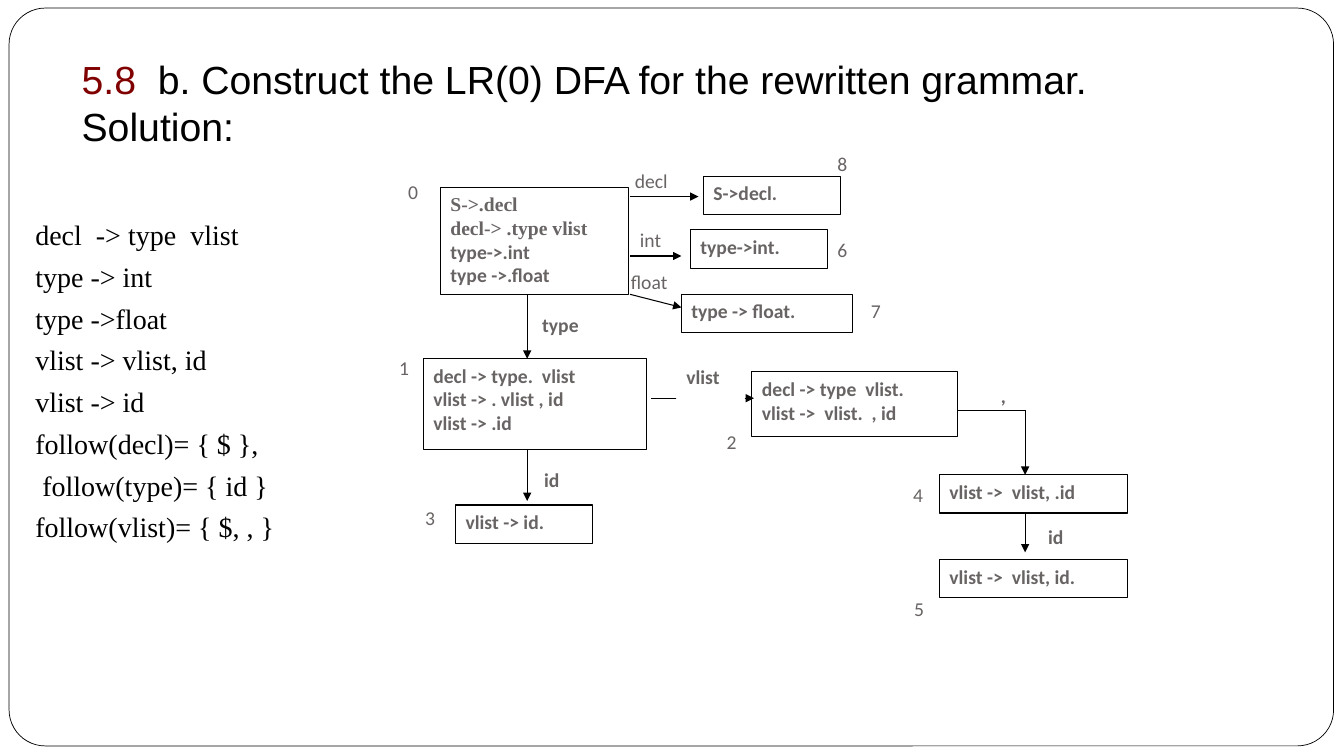
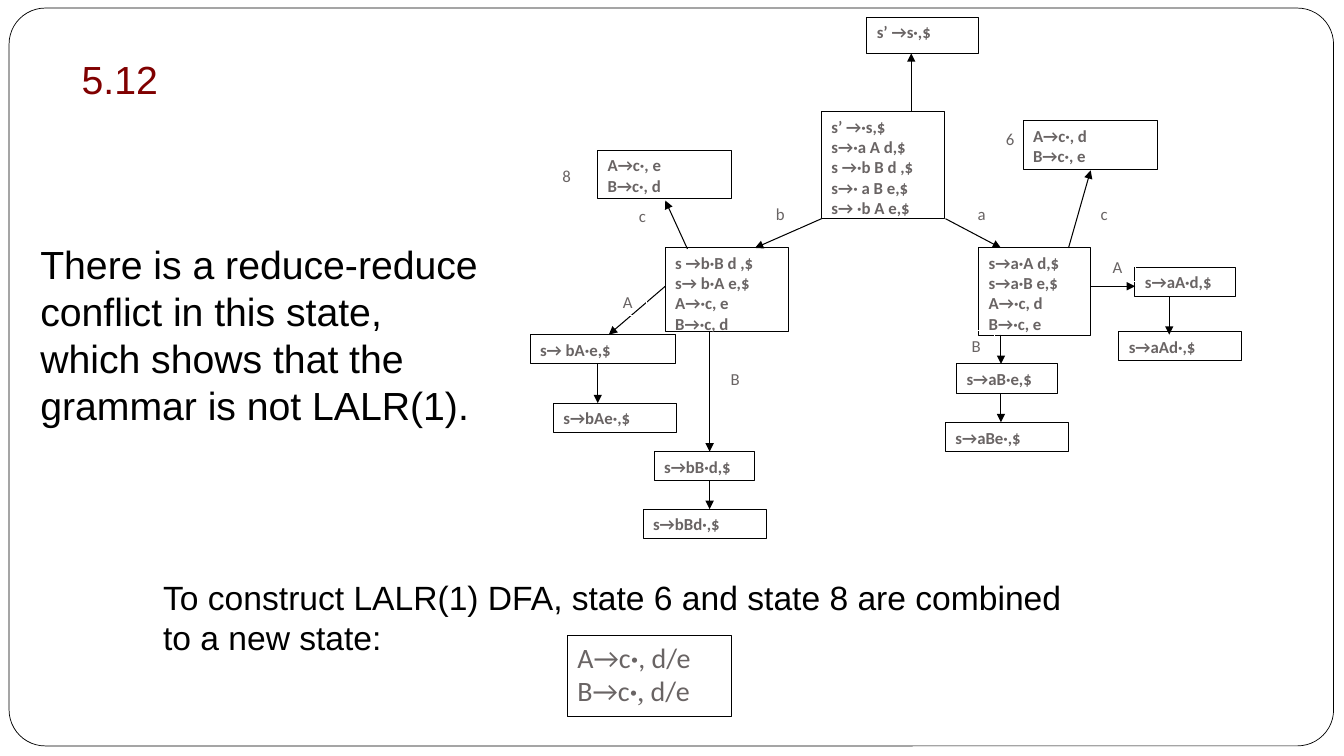
from dataclasses import dataclass
from typing import Optional, Sequence, Union

import lxml.etree
import pptx
import pptx.dml.color
import pptx.enum.shapes
import pptx.enum.text
import pptx.oxml.ns
import pptx.shapes.autoshape
import pptx.slide
import pptx.text.text
import pptx.util

COLORS = {"ink": "000000", "paper": "FFFFFF", "number": "800000", "state": "696464"}
CELL = pptx.util.Inches(0.1)
COLUMNS, ROWS = 133.33, 75
TITLE_SIZE = 28
ALIGN = pptx.enum.text.PP_ALIGN
ANCHOR = pptx.enum.text.MSO_ANCHOR
RECTANGLE = pptx.enum.shapes.MSO_SHAPE.RECTANGLE
ROUNDED = pptx.enum.shapes.MSO_SHAPE.ROUNDED_RECTANGLE
STRAIGHT = pptx.enum.shapes.MSO_CONNECTOR.STRAIGHT
qualified = pptx.oxml.ns.qn


@dataclass(frozen=True)
class Run:
    text: str
    font: Optional[str] = None
    bold: Optional[bool] = None
    color: Optional[str] = None


Line = Union[str, Run, tuple[Run, ...]]


@dataclass(frozen=True)
class Style:
    outline: Optional[str] = None
    fill: Optional[str] = None
    bold: bool = False
    size: Optional[int] = None
    font: str = "Calibri"
    color: str = "state"
    centered: bool = False
    align: ALIGN = ALIGN.LEFT


@dataclass(frozen=True)
class Box:
    style: str
    column: float
    row: float
    width: float
    height: float
    lines: Sequence[Line]


@dataclass(frozen=True)
class Arrow:
    start: tuple[float, float]
    end: tuple[float, float]
    pointed: bool = True


STYLES = {
    "state": Style(outline="ink", bold=True),
    "merged": Style(outline="ink", fill="paper", size=20, align=ALIGN.JUSTIFY),
    "token": Style(outline="paper", bold=True),
    "symbol": Style(outline="paper"),
    "number": Style(),
    "caption": Style(centered=True),
    "remark": Style(size=24, font="Arial", color="ink"),
}


def span(cells: float) -> pptx.util.Length:
    return pptx.util.Emu(round(cells * CELL))


def rgb(name: str) -> pptx.dml.color.RGBColor:
    return pptx.dml.color.RGBColor.from_string(COLORS[name])


def write(frame: pptx.text.text.TextFrame, lines: Sequence[Line], *, size: float,
          font: str = "Arial", color: str = "ink", bold: bool = False,
          align: ALIGN = ALIGN.LEFT, anchor: ANCHOR = ANCHOR.TOP,
          space_before: float = 0) -> None:
    frame.word_wrap = True
    frame.auto_size = pptx.enum.text.MSO_AUTO_SIZE.NONE
    frame.vertical_anchor = anchor
    for index, line in enumerate(lines):
        paragraph = frame.add_paragraph() if index else frame.paragraphs[0]
        paragraph.alignment = align
        paragraph.space_before = pptx.util.Pt(space_before)
        pieces = (Run(line),) if isinstance(line, str) else line
        for piece in (pieces,) if isinstance(pieces, Run) else pieces:
            run = paragraph.add_run()
            run.text = piece.text
            run.font.name = piece.font or font
            run.font.size = pptx.util.Pt(size)
            run.font.bold = bold if piece.bold is None else piece.bold
            run.font.color.rgb = rgb(piece.color or color)


def draw_box(slide: pptx.slide.Slide, box: Box, size: int) -> None:
    style = STYLES[box.style]
    place = [span(cells) for cells in (box.column, box.row, box.width, box.height)]
    if style.outline:
        shape = slide.shapes.add_shape(RECTANGLE, *place)
        shape.shadow.inherit = False
        shape.line.color.rgb = rgb(style.outline)
        shape.line.width = pptx.util.Pt(0.75)
        if style.fill:
            shape.fill.solid()
            shape.fill.fore_color.rgb = rgb(style.fill)
        else:
            shape.fill.background()
    else:
        shape = slide.shapes.add_textbox(*place)
    frame = shape.text_frame
    if style.centered:
        frame.margin_top = frame.margin_bottom = 0
    write(frame, box.lines, size=style.size or size, font=style.font, color=style.color,
          bold=style.bold, align=style.align,
          anchor=ANCHOR.MIDDLE if style.centered else ANCHOR.TOP)


def draw_arrow(slide: pptx.slide.Slide, arrow: Arrow) -> None:
    ends = [span(cells) for cells in (*arrow.start, *arrow.end)]
    connector = slide.shapes.add_connector(STRAIGHT, *ends)
    connector.line.color.rgb = rgb("ink")
    connector.line.width = pptx.util.Pt(0.75)
    properties = connector.element.spPr
    if arrow.pointed:
        line = properties.find(qualified("a:ln"))
        lxml.etree.SubElement(line, qualified("a:tailEnd"), type="triangle")
    lxml.etree.SubElement(properties, qualified("a:effectLst"))


def place_placeholder(shape: pptx.shapes.autoshape.Shape, column: float, row: float,
                      width: float, height: float) -> None:
    shape.left, shape.top = span(column), span(row)
    shape.width, shape.height = span(width), span(height)


def draw_frame(presentation, slide: pptx.slide.Slide) -> None:
    frame = slide.shapes.add_shape(ROUNDED, span(0.9), span(0.8), span(131.4), span(73.2))
    frame.adjustments[0] = 0.049
    frame.shadow.inherit = False
    frame.fill.solid()
    frame.fill.fore_color.rgb = rgb("paper")
    frame.line.color.rgb = rgb("ink")
    frame.line.width = pptx.util.Pt(0.5)
    presentation.slide_master.shapes.element.insert(2, frame.element)


def build_slide(presentation, title: Sequence[Line], title_height: float,
                body: Sequence[Line], body_place: tuple[float, float, float, float],
                body_format: dict, diagram: Sequence[Union[Box, Arrow]],
                size: int) -> pptx.slide.Slide:
    slide = presentation.slides.add_slide(presentation.slide_layouts[1])
    heading, content = slide.shapes.title, slide.placeholders[1]
    place_placeholder(heading, 7.1, 5, 114.7, title_height)
    write(heading.text_frame, title, size=TITLE_SIZE)
    place_placeholder(content, *body_place)
    write(content.text_frame, body, **body_format)
    for properties in content.element.iter(qualified("a:pPr")):
        properties.set("marL", "0")
        properties.set("indent", "0")
        lxml.etree.SubElement(properties, qualified("a:buNone"))
    for item in diagram:
        if isinstance(item, Arrow):
            draw_arrow(slide, item)
        else:
            draw_box(slide, item, size)
    return slide


SERIF = "Times New Roman"
GRAMMAR = ["decl  -> type  vlist", "type -> int", "type ->float", "vlist -> vlist, id",
           "vlist -> id", "follow(decl)= { $ },", " follow(type)= { id }",
           "follow(vlist)= { $, , }"]

LR_DIAGRAM = [
    Box("caption", 82.1, 23.5, 5.1, 2.5, ["6"]),
    Box("token", 98.3, 37.6, 4.3, 3.2, [","]),
    Box("state", 43.7, 18.6, 18.7, 10.6,
        [Run("S->.decl", SERIF), Run("decl-> .type vlist ", SERIF),
         "type->.int", "type ->.float"]),
    Arrow((52.3, 29.2), (52.3, 35.6)),
    Box("token", 52.8, 30.5, 6.8, 3.8, ["type"]),
    Box("state", 42, 35.6, 22.1, 9,
        ["decl -> type.  vlist", "vlist -> . vlist , id", "vlist -> .id "]),
    Arrow((64.6, 39.5), (74.8, 39.5)),
    Box("token", 67.1, 35.7, 6.8, 3.8, ["vlist"]),
    Box("state", 74.6, 36.9, 20.4, 6.4, ["decl -> type  vlist.", "vlist ->  vlist.  , id"]),
    Arrow((101.7, 40.7), (101.7, 47.1)),
    Box("state", 93.2, 47.1, 18.7, 3.8, ["vlist ->  vlist, .id"]),
    Arrow((101.7, 51), (101.7, 54.8)),
    Box("state", 93.2, 55.5, 18.7, 3.8, ["vlist ->  vlist, id."]),
    Arrow((52.3, 44.6), (52.3, 49.7)),
    Box("state", 45.2, 50.1, 13.6, 3.8, ["vlist -> id."]),
    Box("token", 53, 45.9, 6.8, 3.2, ["id"]),
    Arrow((62.5, 25.4), (67.6, 25.4)),
    Box("state", 68.5, 22.8, 13.6, 3.8, ["type->int. "]),
    Arrow((62.5, 29.2), (67.6, 30.5)),
    Box("state", 67.6, 29.2, 17, 3.8, ["type -> float."]),
    Arrow((95, 40.7), (101.7, 40.7), pointed=False),
    Box("token", 103, 51.6, 4.3, 3.2, ["id"]),
    Box("number", 85.4, 29.2, 5.1, 3.8, ["7"]),
    Box("number", 39.5, 17.4, 3.4, 3.8, ["0"]),
    Box("number", 38.6, 34.8, 5.1, 3.8, ["1"]),
    Box("number", 71.1, 42.2, 5.1, 3.8, ["2"]),
    Box("number", 89.6, 47.4, 5.1, 3.8, ["4"]),
    Box("number", 41.2, 49.7, 5.1, 3.8, ["3"]),
    Box("number", 89.7, 58.7, 5.1, 3.8, ["5"]),
    Box("state", 69.8, 17.5, 13.6, 3.8, ["S->decl."]),
    Arrow((62.5, 19.5), (69.3, 19.5)),
    Box("caption", 62, 16.7, 7.7, 2.5, ["decl"]),
    Box("caption", 62.5, 22.5, 7.7, 2.5, ["int"]),
    Box("caption", 61.6, 26.7, 7.7, 2.5, ["float"]),
    Box("caption", 82.1, 15, 7.7, 2.5, ["8"]),
]

LALR_DIAGRAM = [
    Box("remark", 15.2, 56.7, 91.6, 9.1,
        ["To construct LALR(1) DFA, state 6 and state 8 are combined to a new state: "]),
    Arrow((68.2, 24.7), (66, 19.9)),
    Box("state", 81.5, 11.1, 12.2, 10.6,
        ["s’ →·s,$", "s→·a A d,$ ", "s →·b B d ,$", "s→· a B e,$ ", "s→ ·b A e,$"]),
    Arrow((93.8, 21.7), (99.3, 24.6)),
    Arrow((81.5, 21.7), (74.9, 24.6)),
    Box("symbol", 96, 19.7, 3.3, 2.9, ["a"]),
    Box("symbol", 76, 19.7, 3.3, 2.9, ["b"]),
    Box("state", 97.1, 24.6, 11.1, 8.7, ["s→a·A d,$ ", "s→a·B e,$ ", "A→·c, d", "B→·c, e"]),
    Box("state", 66, 24.6, 12.2, 8.3, ["s →b·B d ,$", "s→ b·A e,$", "A→·c, e", "B→·c, d"]),
    Arrow((90.4, 11.1), (90.4, 5.3)),
    Box("state", 86, 1.7, 11.1, 3.6, ["s’ →s·,$"]),
    Arrow((108.2, 28.4), (112.6, 28.4)),
    Box("state", 112.6, 26.5, 10, 2.9, ["s→aA·d,$"]),
    Box("symbol", 109.4, 25, 3.3, 2.9, ["A"]),
    Arrow((116, 29.4), (116, 33.2)),
    Box("state", 111, 32.9, 12.2, 2.9, ["s→aAd·,$"]),
    Arrow((99.3, 33.2), (99.3, 36.1)),
    Box("state", 94.9, 36.1, 10, 2.9, ["s→aB·e,$"]),
    Box("symbol", 95.4, 32.8, 3.3, 2.9, ["B"]),
    Arrow((99.3, 39), (99.3, 41.9)),
    Box("state", 93.8, 41.9, 12.2, 2.9, ["s→aBe·,$"]),
    Arrow((66, 28.4), (60.4, 33.2)),
    Box("symbol", 60.8, 28.4, 3.3, 2.9, ["A"]),
    Box("state", 52.6, 33.2, 14.4, 2.9, ["s→ bA·e,$"]),
    Arrow((59.3, 36.1), (59.3, 40)),
    Box("state", 54.9, 40, 12.2, 2.9, ["s→bAe·,$"]),
    Arrow((70.4, 32.8), (70.4, 44.8)),
    Box("symbol", 71.5, 36.1, 3.7, 2.9, ["B"]),
    Box("state", 64.9, 44.8, 10, 2.9, ["s→bB·d,$"]),
    Arrow((70.4, 47.7), (70.4, 50.5)),
    Box("state", 63.8, 50.5, 12.2, 2.9, ["s→bBd·,$"]),
    Box("state", 59.3, 14.9, 13.3, 4.8, ["A→c·, e", "B→c·, d"]),
    Arrow((106, 24.6), (108.2, 16.9)),
    Box("state", 101.5, 12, 13.3, 4.8, ["A→c·, d", "B→c·, e"]),
    Box("symbol", 62.4, 19.9, 3.3, 2.9, ["c"]),
    Box("symbol", 108.2, 19.7, 3.3, 2.9, ["c"]),
    Box("number", 54.8, 15.9, 2.5, 2.8, ["8"]),
    Box("number", 98.8, 12.3, 2.5, 2.8, ["6"]),
    Box("merged", 56.3, 63, 16.3, 8.1,
        [(Run("A→c"), Run("·", bold=True), Run(", d/e")),
         (Run("B→c"), Run("·", bold=True), Run(",", SERIF), Run(" d/e"))]),
]


def main() -> None:
    presentation = pptx.Presentation()
    presentation.slide_width, presentation.slide_height = span(COLUMNS), span(ROWS)
    grammar_slide = build_slide(
        presentation,
        [(Run("5.8  ", color="number"),
          Run("b. Construct the LR(0) DFA for the rewritten grammar.")), "Solution:"],
        16.1, GRAMMAR, (2.5, 21.1, 29.6, 41.1),
        {"size": 20, "font": SERIF, "space_before": 5.8}, LR_DIAGRAM, 14)
    build_slide(
        presentation, [Run("5.12", color="number")], 5.7,
        ["There is a reduce-reduce conflict in this state, which shows that "
         "the grammar is not LALR(1)."],
        (3, 23.3, 46, 19.9), {"size": 28}, LALR_DIAGRAM, 12)
    draw_frame(presentation, grammar_slide)
    presentation.save("out.pptx")


main()
